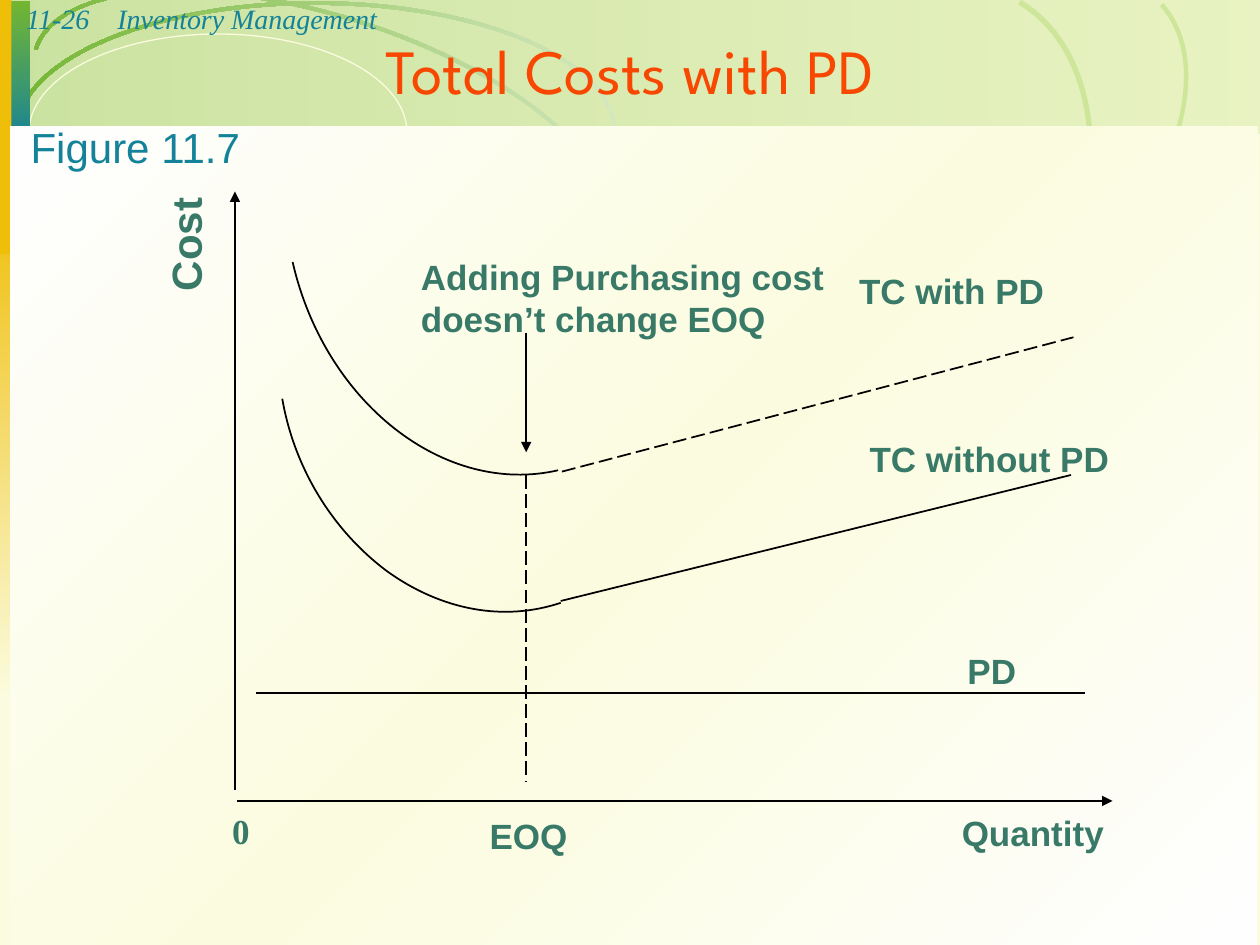
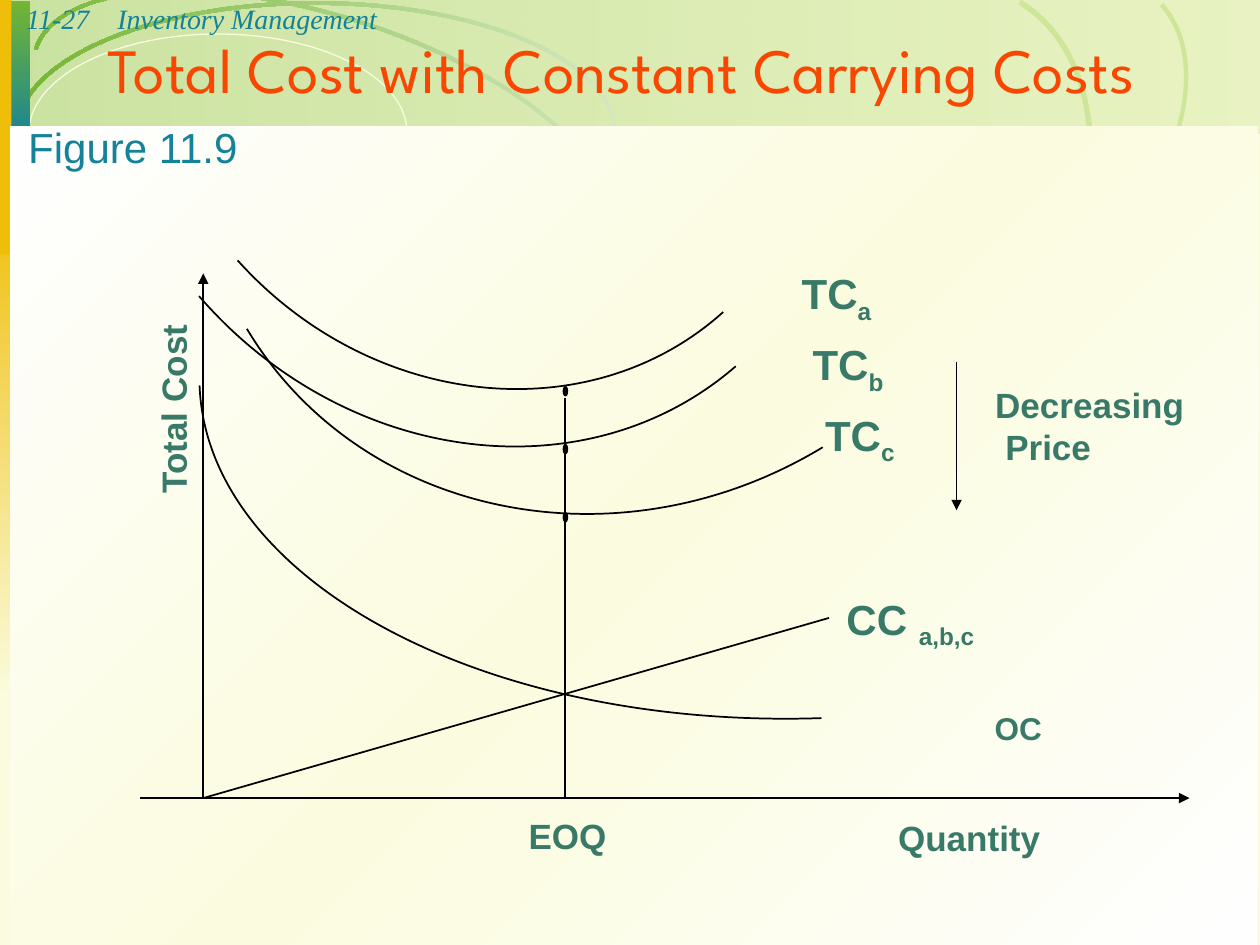
"""Build two inventory cost diagrams on a shared decorated background."""
from lxml.etree import SubElement
from pptx import Presentation
from pptx.dml.color import RGBColor
from pptx.enum.dml import MSO_LINE as Dash
from pptx.enum.shapes import MSO_CONNECTOR as Connector, MSO_SHAPE as Preset
from pptx.enum.text import MSO_ANCHOR as Anchor, PP_ALIGN as Align
from pptx.oxml import parse_xml
from pptx.oxml.ns import nsdecls, qn
from pptx.util import Inches, Pt

COLUMNS, ROWS = 100, 75
CELL = Inches(0.1)
COLORS = {
    "cream": "FBFCDF", "white": "FEFEFE", "black": "000000", "lime": "BCDD7B",
    "leaf": "74B632", "mist": "D4E8C0", "sprout": "CDE69A", "gold": "EFBE09",
    "teal": "148298", "orange": "F84700", "pine": "397968",
}
STYLES = {
    "title": ("orange", {"name": "League Spartan", "size": Pt(36)}),
    "running": ("teal", {"name": "Times New Roman", "size": Pt(16), "italic": True}),
    "figure": ("teal", {"name": "Arial", "size": Pt(24)}),
    "large": ("pine", {"name": "Arial", "size": Pt(24), "bold": True}),
    "label": ("pine", {"name": "Arial", "size": Pt(20), "bold": True}),
    "small": ("pine", {"name": "Arial", "size": Pt(18), "bold": True}),
    "origin": ("pine", {"name": "Times New Roman", "size": Pt(20), "bold": True}),
}
FRAME = {"word_wrap": True, "margin_left": CELL, "margin_right": CELL,
         "margin_top": CELL // 2, "margin_bottom": CELL // 2}
ARC_ADJUSTMENTS = (108, 0, 0.014)

HEADER_FILL = (180, [("lime", 29), ("leaf", 36)])
BACKDROP = [
    {"kind": Preset.RECTANGLE, "box": (0.1, 0, 100, 10.6), "fill": HEADER_FILL},
    {"kind": Preset.BLOCK_ARC, "box": (1.6, 1.1, 47.7, 19.9), "turn": 17.5,
     "fill": (162, [("mist", 100), ("leaf", 100)])},
    {"kind": Preset.OVAL, "box": (2.3, 2.7, 30, 15.6), "line": ("cream", 0.75)},
    {"kind": Preset.RECTANGLE, "box": (0, 15.5, 2.2, 40.1),
     "fill": (90, [("gold", 100), ("cream", 100)])},
    {"kind": Preset.BLOCK_ARC, "box": (50.7, 3.2, 47.7, 25.9), "turn": 318.2,
     "fill": "sprout", "flip": True},
    {"kind": Preset.BLOCK_ARC, "box": (45, 5.2, 47.7, 30.6), "turn": 300.7,
     "fill": "sprout", "flip": True},
    {"kind": Preset.BLOCK_ARC, "box": (1.2, 0.1, 47.7, 20.7),
     "fill": (180, [("mist", 100), ("leaf", 100)])},
    {"kind": Preset.RECTANGLE, "box": (0.1, 0.1, 2.3, 11.4),
     "fill": (90, [("leaf", 100), ("teal", 100)])},
    {"kind": Preset.RECTANGLE, "box": (0, 0, 0.9, 20.2), "fill": "gold"},
    {"kind": Preset.RECTANGLE, "box": (0.8, 10.03, 99, 64.97),
     "fill": (225, [("white", 100), ("cream", 100), ("white", 100)])},
]

SLIDES = [
    {
        "page": "11-26", "figure": ("Figure 11.7", 1.45),
        "title": ("Total Costs with PD", (0, 2.1, 100, 6.9)),
        "labels": [
            ("Cost", (8.9, 15.8, 11.6, 5), "large", 270),
            ("EOQ", (37.87, 64.13, 9.1, 4.3), "label", 0),
            ("TC with PD", (67.2, 20.9, 21.6, 4.3), "label", 0),
            ("TC without PD", (68.03, 34.2, 21.6, 4.3), "label", 0),
            ("PD", (75.8, 51.05, 5.9, 4.3), "label", 0),
            ("0", (17.43, 63.77, 4.8, 4.3), "origin", 0),
            ("Quantity", (75.35, 63.9, 13.4, 4.3), "label", 0),
            ("Adding Purchasing cost\ndoesn’t change EOQ", (32.43, 19.8, 34.3, 7.6), "label", 0),
        ],
        "lines": [
            ((41.76, 37.7), (41.76, 62), "dash"),
            ((18.65, 62.7), (18.65, 15.2), "arrow"),
            ((44.5, 47.7), (85, 37.7), ""),
            ((44.6, 37.43), (85.2, 26.77), "dash"),
            ((20.3, 55), (86.1, 55), ""),
            ((18.8, 63.57), (88.3, 63.57), "arrow"),
            ((41.76, 26.4), (41.76, 35.9), "arrow"),
        ],
        "curves": [
            [(44.5, 47.85), (40, 49.35), (35.1, 48.45), (30.8, 45.4),
             (26.6, 42.3), (23.4, 37.4), (22.4, 31.65)],
            [(44.3, 37.33), (35.3, 39.4), (25.8, 32), (23.23, 20.8)],
        ],
        "dots": [],
    },
    {
        "page": "11-27", "figure": ("Figure 11.9", 1.26),
        "title": ("Total Cost with Constant Carrying Costs", (0, 3.7, 98.7, 5.2)),
        "labels": [
            ("OC", (77.95, 55.8, 5.8, 4), "small", 0),
            ("EOQ", (40.97, 64.13, 8.3, 4.3), "label", 0),
            ("Quantity", (70.3, 64.3, 23, 4.3), "label", 0),
            ("Total Cost", (4.6, 28.9, 18.2, 4.3), "label", 270),
            ("TC_a", (62.65, 20.75, 7.7, 5.5), "large", 0),
            ("TC_b", (63.5, 26.4, 8.5, 5.5), "large", 0),
            ("TC_c", (64.5, 32, 9.1, 5.5), "large", 0),
            ("CC _a,b,c", (66.2, 46.6, 13.3, 5.5), "large", 0),
            ("Decreasing\n>Price", (78, 29.95, 17.2, 7.6), "label", 0),
        ],
        "lines": [
            ((16.13, 63.34), (16.13, 21.7), "arrow"),
            ((11.1, 63.34), (94.4, 63.34), "arrow"),
            ((16.13, 63.34), (65.8, 49.04), ""),
            ((44.87, 31.6), (44.87, 63.4), ""),
            ((75.92, 28.7), (75.92, 40.5), "arrow"),
        ],
        "curves": [
            [(57.4, 24.77), (46.8, 34.3), (29.5, 32.5), (18.86, 20.67)],
            [(58.4, 29.07), (46.5, 39.4), (27.4, 36.9), (15.8, 23.5)],
            [(65.2, 57), (38.5, 57.9), (16.4, 46.1), (15.84, 30.6)],
            [(65.3, 35.5), (49.1, 45.3), (28.6, 41.1), (19.6, 26.1)],
        ],
        "dots": [(44.73, 30.7), (44.73, 35.3), (44.73, 40.7)],
    },
]


def color(name):
    return RGBColor.from_string(COLORS[name])


def cells(*lengths):
    return [round(length * CELL) for length in lengths]


def fill_gradient(shape, angle, stops):
    shape.fill.background()
    marks = "".join(
        f'<a:gs pos="{index * 100000 // (len(stops) - 1)}"><a:srgbClr val="{COLORS[name]}">'
        f'<a:alpha val="{opacity * 1000}"/></a:srgbClr></a:gs>'
        for index, (name, opacity) in enumerate(stops))
    gradient = parse_xml(
        f'<a:gradFill {nsdecls("a")} rotWithShape="1"><a:gsLst>{marks}</a:gsLst>'
        f'<a:lin ang="{angle * 60000}" scaled="0"/></a:gradFill>')
    properties = shape.element.spPr
    properties.replace(properties.find(qn("a:noFill")), gradient)


def paint(shape, fill=None, line=None):
    shape.shadow.inherit = False
    if isinstance(fill, tuple):
        fill_gradient(shape, *fill)
    elif fill:
        shape.fill.solid()
        shape.fill.fore_color.rgb = color(fill)
    else:
        shape.fill.background()
    if line:
        shape.line.color.rgb = color(line[0])
        shape.line.width = Pt(line[1])
    else:
        shape.line.fill.background()


def add_preset(slide, kind, box, fill=None, line=None, turn=0, flip=False):
    shape = slide.shapes.add_shape(kind, *cells(*box))
    paint(shape, fill, line)
    shape.rotation = turn
    if kind == Preset.BLOCK_ARC:
        for index, value in enumerate(ARC_ADJUSTMENTS):
            shape.adjustments[index] = value
    if flip:
        shape.element.spPr.xfrm.set("flipV", "1")


def add_text(slide, text, box, style, turn=0, align=Align.LEFT, anchor=Anchor.TOP):
    shape = slide.shapes.add_textbox(*cells(*box))
    shape.rotation = turn
    frame = shape.text_frame
    for name, value in {**FRAME, "vertical_anchor": anchor}.items():
        setattr(frame, name, value)
    ink, font_values = STYLES[style]
    for index, words in enumerate(text.split("\n")):
        paragraph = frame.add_paragraph() if index else frame.paragraphs[0]
        paragraph.alignment = align
        if words.startswith(">"):
            paragraph._p.get_or_add_pPr().set("marL", str(Inches(0.08)))
        for level, part in enumerate(words.lstrip(">").split("_")):
            run = paragraph.add_run()
            run.text = part
            for name, value in font_values.items():
                setattr(run.font, name, value)
            run.font.color.rgb = color(ink)
            if level:
                run._r.get_or_add_rPr().set("baseline", "-25000")


def add_line(slide, start, end, look):
    connector = slide.shapes.add_connector(Connector.STRAIGHT, *cells(*start, *end))
    connector.line.color.rgb = color("black")
    connector.line.width = Pt(1)
    properties = connector.element.spPr
    if look == "dash":
        connector.line.dash_style = Dash.LONG_DASH
    if look == "arrow":
        properties.find(qn("a:ln")).append(
            parse_xml(f'<a:tailEnd {nsdecls("a")} type="triangle"/>'))
    properties.append(parse_xml(f'<a:effectLst {nsdecls("a")}/>'))


def add_curve(slide, controls):
    points = [cells(*point) for point in controls]
    builder = slide.shapes.build_freeform(*points[0])
    builder.add_line_segments(points[1:], close=False)
    shape = builder.convert_to_shape()
    paint(shape, line=("black", 1))
    outline = next(shape.element.iter(qn("a:path")))
    segments = outline.findall(qn("a:lnTo"))
    for index, segment in enumerate(segments):
        if index % 3 == 0:
            bend = SubElement(outline, qn("a:cubicBezTo"))
        bend.append(segment[0])
        outline.remove(segment)


def add_frame(slide, content):
    slide.background.fill.solid()
    slide.background.fill.fore_color.rgb = color("cream")
    for part in BACKDROP:
        add_preset(slide, **part)
    add_text(slide, content["page"], (1.1, -0.4, 11.2, 3.7), "running")
    add_text(slide, "Inventory Management", (8.33, -0.4, 85, 3.7), "running")
    title, box = content["title"]
    add_text(slide, title, box, "title", align=Align.CENTER, anchor=Anchor.BOTTOM)
    figure, left = content["figure"]
    add_text(slide, figure, (left, 9.15, 21.7, 5), "figure")


def main():
    presentation = Presentation()
    presentation.slide_width = COLUMNS * CELL
    presentation.slide_height = ROWS * CELL
    for content in SLIDES:
        slide = presentation.slides.add_slide(presentation.slide_layouts[6])
        add_frame(slide, content)
        for controls in content["curves"]:
            add_curve(slide, controls)
        for line in content["lines"]:
            add_line(slide, *line)
        for dot in content["dots"]:
            add_preset(slide, Preset.OVAL, (*dot, 0.3, 0.7), "black", ("black", 1))
        for label in content["labels"]:
            add_text(slide, *label)
    presentation.save("out.pptx")


if __name__ == "__main__":
    main()
